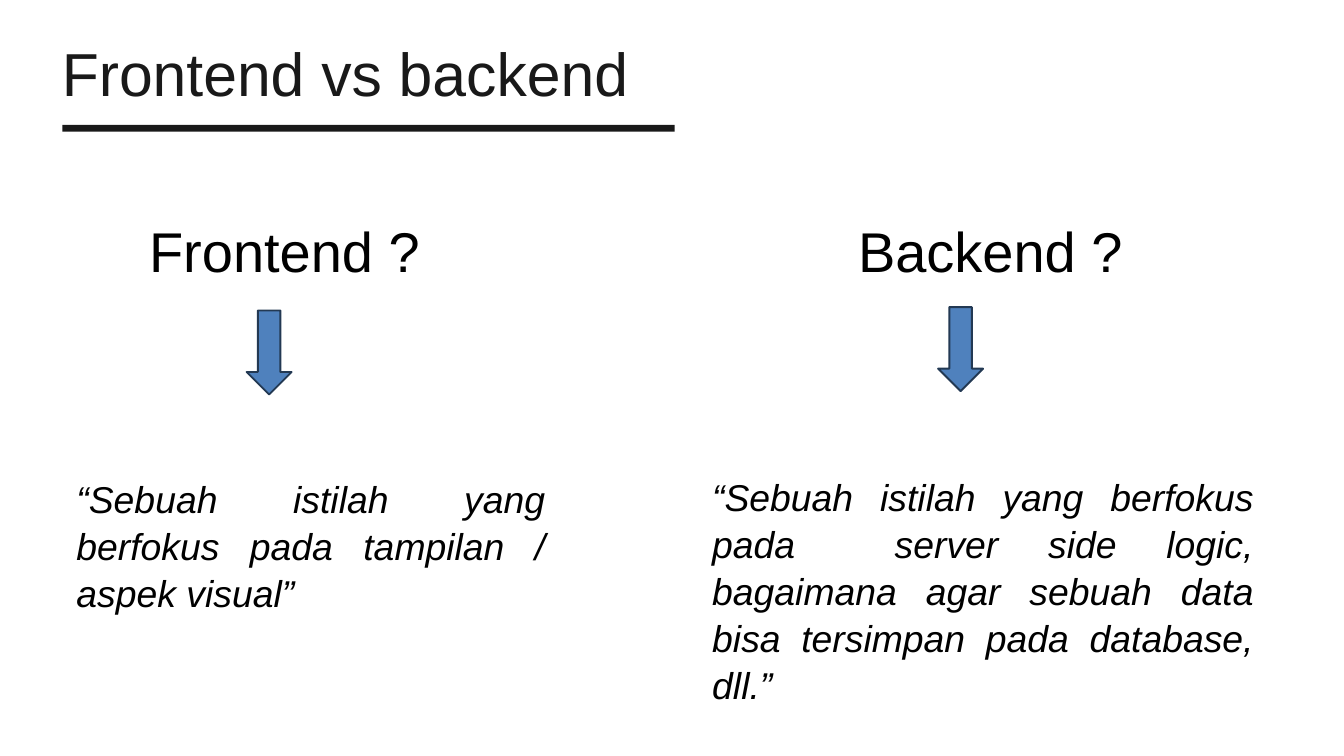
import pptx
import pptx.dml.color
import pptx.enum.shapes
import pptx.enum.text
import pptx.util
from pptx.util import Inches, Pt

INK = "191919"
BLACK = "000000"
ARROW_FILL = "4F81BD"
ARROW_LINE = "233953"
ALIGN = pptx.enum.text.PP_ALIGN
SHAPE = pptx.enum.shapes.MSO_SHAPE


def rgb(value):
    """Return the colour for a hex string."""
    return pptx.dml.color.RGBColor.from_string(value)


def add_text(slide, box, text, size, color=BLACK, align=ALIGN.LEFT,
             italic=False, spacing=1.05, inset=None):
    """Add a wrapped one-paragraph text box."""
    frame = slide.shapes.add_textbox(*map(Inches, box)).text_frame
    frame.word_wrap = True
    if inset is not None:
        frame.margin_left = frame.margin_right = Inches(inset)
        frame.margin_top = frame.margin_bottom = Inches(inset)
    paragraph = frame.paragraphs[0]
    paragraph.text = text
    paragraph.alignment = align
    paragraph.line_spacing = spacing
    font = paragraph.font
    font.name = "Arial"
    font.size = Pt(size)
    font.italic = italic
    font.color.rgb = rgb(color)


def add_filled_shape(slide, kind, box, fill, line=None):
    """Add a preset shape with a solid fill and an optional outline."""
    shape = slide.shapes.add_shape(kind, *map(Inches, box))
    shape.shadow.inherit = False
    shape.fill.solid()
    shape.fill.fore_color.rgb = rgb(fill)
    if line:
        shape.line.color.rgb = rgb(line)
        shape.line.width = Pt(2)
    else:
        shape.line.fill.background()


def add_title(slide, title):
    """Add the slide title and the bar below it."""
    add_filled_shape(slide, SHAPE.RECTANGLE, (0.93, 1.86, 9.11, 0.1), INK)
    add_text(slide, (0.92, 0.46, 12.4, 1.08), title, 65, INK,
             spacing=Pt(83.2), inset=0)


def add_definition(slide, term, term_left, arrow_at, meaning, meaning_box):
    """Add a term, an arrow down from it and its meaning."""
    add_text(slide, (term_left, 3.12, 5, 1.11), term, 60)
    add_filled_shape(slide, SHAPE.DOWN_ARROW, (*arrow_at, 0.67, 1.25),
                     ARROW_FILL, ARROW_LINE)
    add_text(slide, meaning_box, meaning, 40, align=ALIGN.JUSTIFY, italic=True)


def main():
    """Build and save the slide."""
    deck = pptx.Presentation()
    deck.slide_width = Inches(20)
    deck.slide_height = Inches(11.25)
    slide = deck.slides.add_slide(deck.slide_layouts[6])
    add_title(slide, "Frontend vs backend")
    add_definition(
        slide, "Frontend ?", 2.12, (3.67, 4.62),
        "“Sebuah istilah yang berfokus pada tampilan / aspek visual”",
        (1.04, 7.01, 7.17, 1.45))
    add_definition(
        slide, "Backend ?", 12.67, (13.96, 4.57),
        "“Sebuah istilah yang berfokus pada  server side logic, "
        "bagaimana agar sebuah data bisa tersimpan pada database, dll.”",
        (10.5, 6.97, 8.25, 2.79))
    deck.save("out.pptx")


if __name__ == "__main__":
    main()
